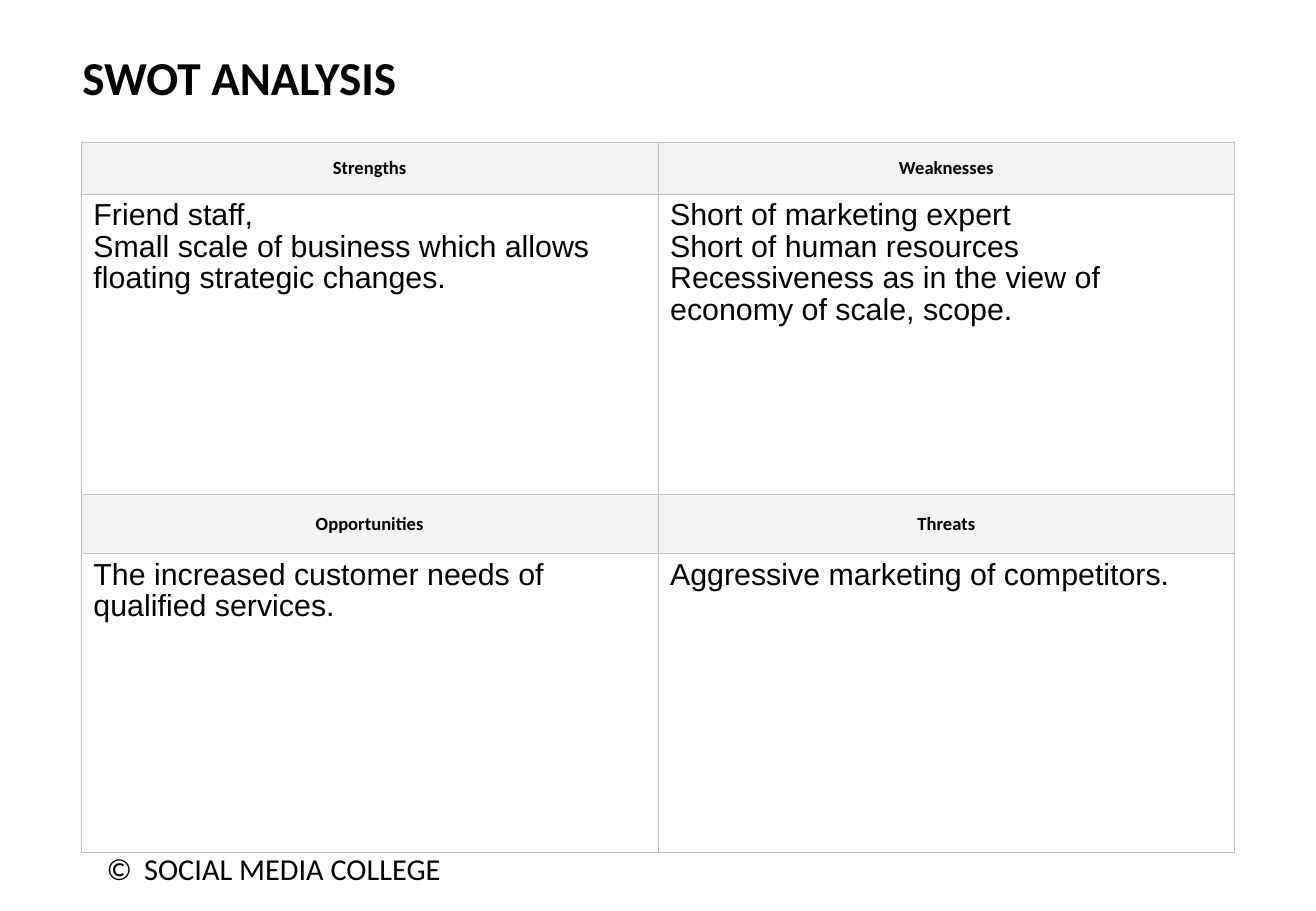
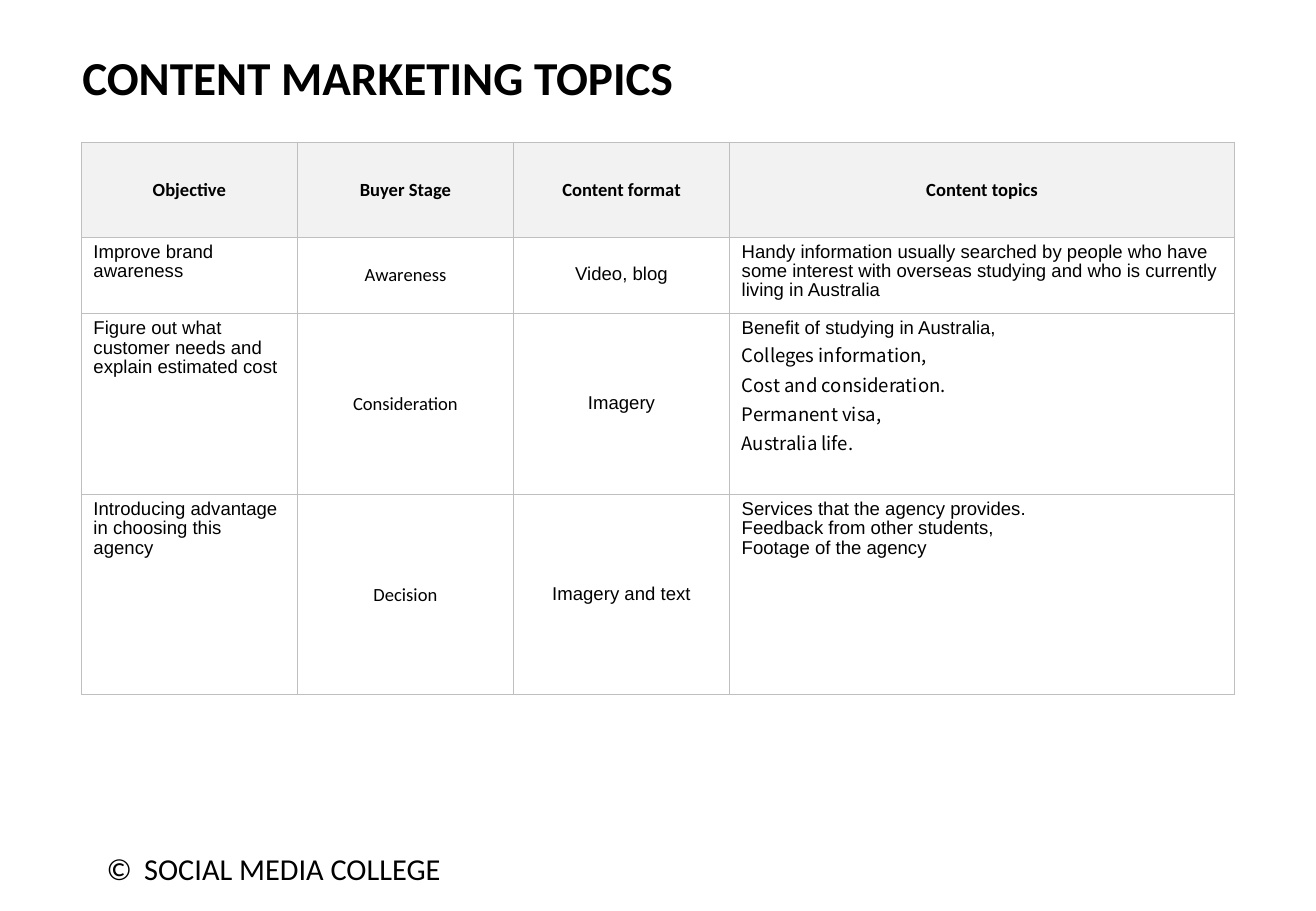
import pptx
import pptx.util
import pptx.dml.color
import pptx.enum.text
import pptx.oxml
import pptx.oxml.ns
from collections import namedtuple

Inches, Pt = pptx.util.Inches, pptx.util.Pt
ALIGN, ANCHOR = pptx.enum.text.PP_ALIGN, pptx.enum.text.MSO_ANCHOR
COLORS = {"text": "000000", "head": "F2F2F2", "body": "FFFFFF", "line": "BFBFBF"}
LEFT, TOP, WIDTH = 0.67, 1.17, 9.5

Style = namedtuple("Style", "font size bold center space fill", defaults=["body"])
TITLE = Style("Calibri", 28, True, False, 1)
FOOT = Style("Calibri", 18, False, False, 1)
HEAD = Style("Calibri", 11, True, True, 1.02, "head")
STAGE = Style("Calibri", 11, False, True, 1.02)
FORMAT = Style("Arial", 11, False, True, 0.93)
NOTE = Style("Arial", 11, False, False, 0.93)
TOPIC = Style("Noto Sans CJK SC", 11, False, False, 1.09)
POINT = Style("Arial", 18, False, False, 0.93)


def rgb(name):
    return pptx.dml.color.RGBColor.from_string(COLORS[name])


def write(frame, items):
    """Fill a text frame with (style, text) paragraphs."""
    for i, (style, text) in enumerate(items):
        para = frame.paragraphs[0] if i == 0 else frame.add_paragraph()
        para.alignment = ALIGN.CENTER if style.center else ALIGN.LEFT
        para.line_spacing = style.space
        run = para.add_run()
        run.text = text
        font = run.font
        font.name, font.size, font.bold = style.font, Pt(style.size), style.bold
        font.color.rgb = rgb("text")


def add_text(slide, box, style, text, anchor):
    shape = slide.shapes.add_textbox(*map(Inches, box))
    frame = shape.text_frame
    frame.word_wrap = True
    frame.vertical_anchor = anchor
    write(frame, [(style, text)])
    return frame.paragraphs[0]


def add_tab(para, stop):
    props = para._p.get_or_add_pPr()
    props.append(pptx.oxml.parse_xml(
        f'<a:tabLst {pptx.oxml.ns.nsdecls("a")}>'
        f'<a:tab pos="{Inches(stop)}" algn="l"/></a:tabLst>'))


def add_edges(cell):
    props = cell._tc.get_or_add_tcPr()
    for side in "LRTB":
        props.append(pptx.oxml.parse_xml(
            f'<a:ln{side} {pptx.oxml.ns.nsdecls("a")} w="{Pt(0.45)}">'
            f'<a:solidFill><a:srgbClr val="{COLORS["line"]}"/></a:solidFill>'
            f'</a:ln{side}>'))


def add_grid(slide, cols, rows, cells):
    """Draw a table; each cell is a list of (style, text) paragraphs."""
    frame = slide.shapes.add_table(
        len(rows), len(cols), Inches(LEFT), Inches(TOP),
        Inches(WIDTH), Inches(sum(rows)))
    table = frame.table
    table.first_row = table.horz_banding = False
    for col, width in zip(table.columns, cols):
        col.width = Inches(width)
    for row, height, line in zip(table.rows, rows, cells):
        row.height = Inches(height)
        for cell, items in zip(row.cells, line):
            style = items[0][0]
            add_edges(cell)
            cell.fill.solid()
            cell.fill.fore_color.rgb = rgb(style.fill)
            cell.vertical_anchor = ANCHOR.MIDDLE if style.center else ANCHOR.TOP
            write(cell.text_frame, items)


def add_page(deck, title):
    slide = deck.slides.add_slide(deck.slide_layouts[6])
    add_text(slide, (0.58, 0.35, 8.84, 0.57), TITLE, title, ANCHOR.MIDDLE)
    foot = add_text(slide, (0.78, 6.95, 8.88, 0.4), FOOT,
                    "©\tSOCIAL MEDIA COLLEGE", ANCHOR.TOP)
    add_tab(foot, 0.31)
    return slide


def each(style, *texts):
    return [(style, text) for text in texts]


def add_swot(deck):
    slide = add_page(deck, "SWOT ANALYSIS")
    add_grid(slide, [WIDTH / 2] * 2, [0.43, 2.47, 0.49, 2.46], [
        [each(HEAD, "Strengths"), each(HEAD, "Weaknesses")],
        [each(POINT, "Friend staff,",
              "Small scale of business which allows floating strategic changes."),
         each(POINT, "Short of marketing expert", "Short of human resources",
              "Recessiveness as in the view of economy of scale, scope.")],
        [each(HEAD, "Opportunities"), each(HEAD, "Threats")],
        [each(POINT, "The increased customer needs of qualified services."),
         each(POINT, "Aggressive marketing of competitors.")],
    ])


def add_topics(deck):
    slide = add_page(deck, "CONTENT MARKETING TOPICS")
    heads = ["Objective", "Buyer Stage", "Content format", "Content topics"]
    plans = [
        ("Improve brand awareness", "Awareness", "Video, blog",
         each(NOTE, "Handy information usually searched by people who have some "
              "interest with overseas studying and who is currently living in "
              "Australia")),
        ("Figure out what customer needs and explain estimated cost",
         "Consideration", "Imagery",
         each(NOTE, "Benefit of studying in Australia,")
         + each(TOPIC, "Colleges information,", "Cost and consideration.",
                "Permanent visa,", "Australia life.")),
        ("Introducing advantage in choosing this agency", "Decision",
         "Imagery and text",
         each(NOTE, "Services that the agency provides.",
              "Feedback from other students,", "Footage of the agency")),
    ]
    cells = [[each(HEAD, head) for head in heads]]
    for goal, stage, form, topics in plans:
        cells.append([each(NOTE, goal), each(STAGE, stage),
                      each(FORMAT, form), topics])
    add_grid(slide, [1.78] * 3 + [4.16], [0.78, 0.63, 1.49, 1.65], cells)


def main():
    deck = pptx.Presentation()
    deck.slide_width, deck.slide_height = Inches(10.84), Inches(7.5)
    add_swot(deck)
    add_topics(deck)
    deck.save("out.pptx")


if __name__ == "__main__":
    main()
